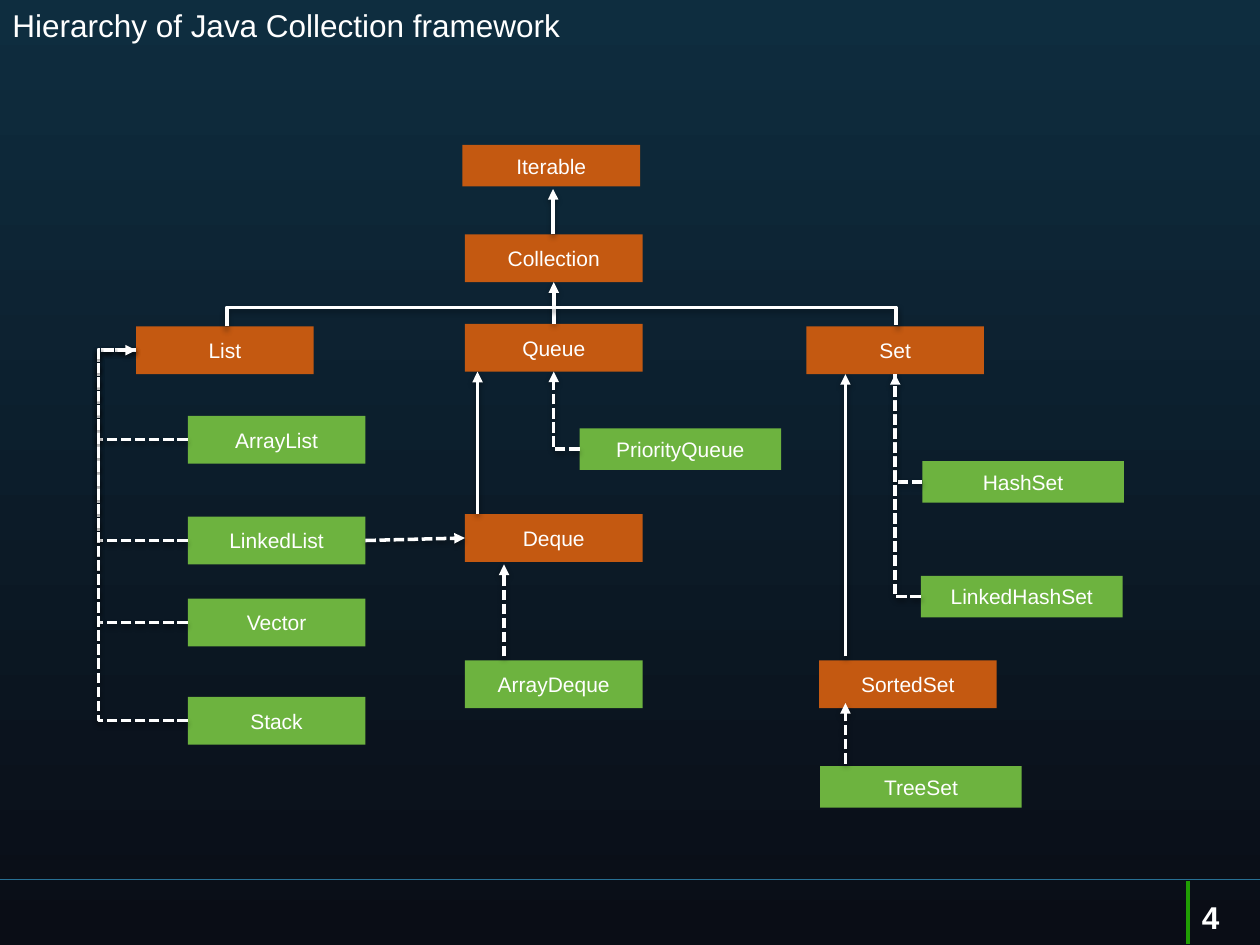
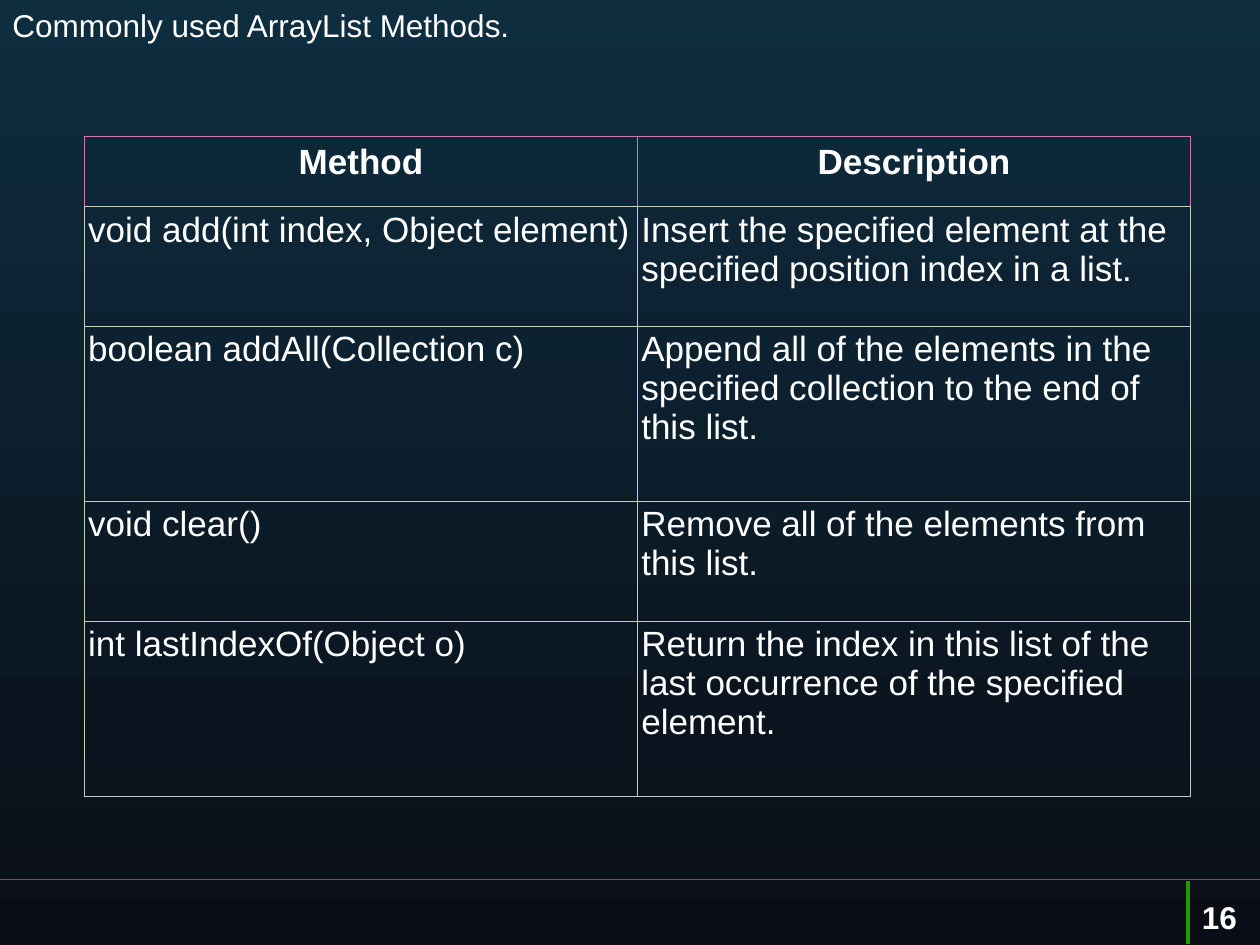
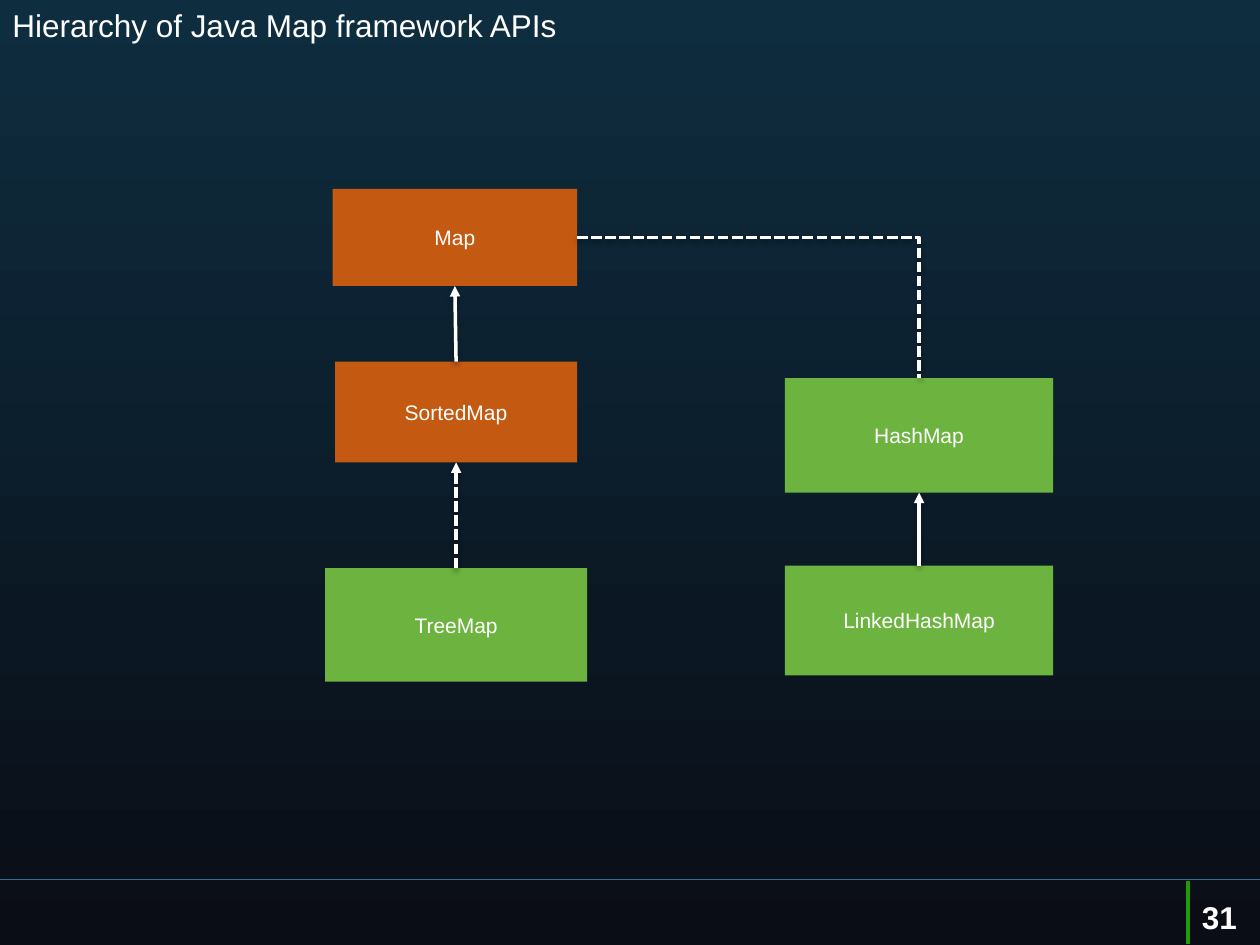
from lxml import etree
from pptx import Presentation
from pptx.dml.color import RGBColor
from pptx.enum import dml, shapes, text
from pptx.oxml import ns
from pptx.util import Inches, Pt

FONT = "Arial"
WHITE, ORANGE, GREEN = "FFFFFF", "C45911", "6DB33F"
SKY, NIGHT = "0E2D3F", "0A0D16"
RULE, MARK = "287094", "209D03"
PINK, GREY = "D077AD", "C7CCBE"
TOP, LEFT, BOTTOM, RIGHT = range(4)  # connection sites of a rectangle
CENTER = text.PP_ALIGN.CENTER


def color(code):
    return RGBColor.from_string(code)


def node(parent, tag, **attrs):
    return etree.SubElement(parent, ns.qn(tag), attrs)


def write(frame, words, size=12, bold=False, align=None, anchor=None):
    """Put formatted text into a text frame."""
    frame.word_wrap = True
    if anchor is not None:
        frame.vertical_anchor = anchor
    para = frame.paragraphs[0]
    para.alignment = align
    run = para.add_run()
    run.text = words
    font = run.font
    font.name, font.size, font.bold = FONT, Pt(size), bold
    font.color.rgb = color(WHITE)


def label(slide, words, x, y, w, h, **style):
    area = slide.shapes.add_textbox(Inches(x), Inches(y), Inches(w), Inches(h))
    write(area.text_frame, words, **style)


def box(slide, words, fill, x, y, w=1.41, h=0.38):
    rect = slide.shapes.add_shape(shapes.MSO_SHAPE.RECTANGLE, Inches(x),
                                  Inches(y), Inches(w), Inches(h))
    rect.shadow.inherit = False
    rect.fill.solid()
    rect.fill.fore_color.rgb = color(fill)
    rect.line.fill.background()
    write(rect.text_frame, words, align=CENTER, anchor=text.MSO_ANCHOR.MIDDLE)
    return rect


def shade(shape):
    """Replace the theme shadow with a soft one below the line."""
    effects = node(shape._element.spPr, "a:effectLst")
    cast = node(effects, "a:outerShdw", blurRad=str(Pt(3.1)),
                dist=str(Pt(1.6)), dir="5400000", rotWithShape="0")
    node(node(cast, "a:srgbClr", val="000000"), "a:alpha", val="38000")


def stroke(shape, code=WHITE, width=2, dash=False, arrow=False):
    line = shape.line
    line.color.rgb = color(code)
    line.width = Pt(width)
    if dash:
        line.dash_style = dml.MSO_LINE.SQUARE_DOT
    if arrow:
        node(line._get_or_add_ln(), "a:tailEnd", type="triangle")


def rule(slide, start, end, code, width):
    """Draw a plain line of the page frame."""
    line = slide.shapes.add_connector(
        shapes.MSO_CONNECTOR.STRAIGHT, *map(Inches, start + end))
    stroke(line, code, width)
    node(line._element.spPr, "a:effectLst")


def arrow(slide, start, end, dash=False):
    line = slide.shapes.add_connector(
        shapes.MSO_CONNECTOR.STRAIGHT, *map(Inches, start + end))
    stroke(line, dash=dash, arrow=True)
    shade(line)


def link(slide, child, out, parent, into, kind="line", bend=None, dash=True,
         head=True):
    """Join two boxes at their sites; bend is the turn as a share of width."""
    line = slide.shapes.add_connector(shapes.MSO_CONNECTOR.STRAIGHT, 0, 0, 0, 0)
    line.begin_connect(child, out)
    line.end_connect(parent, into)
    geom = line._element.spPr.find(ns.qn("a:prstGeom"))
    geom.set("prst", kind)
    if bend is not None:
        node(geom.find(ns.qn("a:avLst")), "a:gd", name="adj1",
             fmla=f"val {round(bend * 100000)}")
    stroke(line, dash=dash, arrow=head)
    shade(line)


def bar(slide, points):
    """Draw an open line through the points."""
    first, *rest = [tuple(map(Inches, spot)) for spot in points]
    build = slide.shapes.build_freeform(*first)
    build.add_line_segments(rest, close=False)
    path = build.convert_to_shape()
    path.fill.background()
    stroke(path)
    shade(path)


def edge(cell, sides):
    """Give a cell its borders from a dict of side and colour."""
    props = cell._tc.get_or_add_tcPr()
    for side, code in sides.items():
        line = node(props, f"a:ln{side}", w=str(Pt(0.75)))
        node(node(line, "a:solidFill"), "a:srgbClr", val=code)


def grid(slide, rows, heights, x, y, width):
    """Draw a table whose first row is the header."""
    count = len(rows[0])
    table = slide.shapes.add_table(len(rows), count, Inches(x), Inches(y),
                                   Inches(width), Inches(sum(heights))).table
    table.first_row = table.horz_banding = False
    for col in table.columns:
        col.width = Inches(width / count)
    for r, (row, height) in enumerate(zip(rows, heights)):
        table.rows[r].height = Inches(height)
        top = r == 0
        sides = dict.fromkeys("LRTB", PINK if top else GREY)
        sides["B"] = GREY
        for c, words in enumerate(row):
            cell = table.cell(r, c)
            pad = Inches(0.05 if top else 0.03)
            cell.margin_left = cell.margin_right = pad
            cell.margin_top = cell.margin_bottom = pad
            edge(cell, sides)
            cell.fill.background()
            write(cell.text_frame, words, size=20, bold=top,
                  align=CENTER if top else None)


def backdrop(deck):
    fill = deck.slide_master.background.fill
    fill.gradient()
    fill.gradient_angle = 270
    for stop, code in zip(fill.gradient_stops, (SKY, NIGHT)):
        stop.color.rgb = color(code)


def page(deck, title, number):
    """Add a slide with its title, footer lines and number."""
    slide = deck.slides.add_slide(deck.slide_layouts[6])
    rule(slide, (10, 6.98), (0, 6.98), RULE, 0.75)
    rule(slide, (9.43, 6.99), (9.43, 7.49), MARK, 2)
    label(slide, title, 0, 0, 7.5, 0.58, size=18)
    label(slide, str(number), 9.44, 7.08, 0.81, 0.25, size=18, bold=True)
    return slide


def collections(deck):
    slide = page(deck, "Hierarchy of Java Collection framework", 4)
    box(slide, "Iterable", ORANGE, 3.67, 1.15, h=0.33)
    root = box(slide, "Collection", ORANGE, 3.69, 1.86)
    queue = box(slide, "Queue", ORANGE, 3.69, 2.57)
    group = box(slide, "Set", ORANGE, 6.4, 2.59)
    series = box(slide, "List", ORANGE, 1.08, 2.59)
    deque = box(slide, "Deque", ORANGE, 3.69, 4.08)
    box(slide, "ArrayDeque", GREEN, 3.69, 5.24)
    box(slide, "SortedSet", ORANGE, 6.5, 5.24)
    box(slide, "TreeSet", GREEN, 6.51, 6.08, 1.6, 0.33)

    arrow(slide, (4.39, 1.86), (4.39, 1.5))
    link(slide, queue, TOP, root, BOTTOM, dash=False)
    bar(slide, [(1.8, 2.59), (1.8, 2.44), (7.11, 2.44), (7.11, 2.58)])

    lists = {"ArrayList": 3.3, "LinkedList": 4.1, "Vector": 4.75, "Stack": 5.53}
    for name, y in lists.items():
        item = box(slide, name, GREEN, 1.49, y)
        link(slide, item, LEFT, series, LEFT, "bentConnector3", bend=1.73,
             head=name == "Stack")
        if name == "LinkedList":
            link(slide, item, RIGHT, deque, LEFT)

    for name, x, y, parent in (("PriorityQueue", 4.6, 3.4, queue),
                               ("HashSet", 7.32, 3.66, group),
                               ("LinkedHashSet", 7.31, 4.57, group)):
        item = box(slide, name, GREEN, x, y, 1.6, 0.33)
        link(slide, item, LEFT, parent, BOTTOM, "bentConnector2",
             head=name != "HashSet")

    arrow(slide, (3.79, 4.08), (3.79, 2.95))
    arrow(slide, (4, 5.21), (4, 4.48), dash=True)
    arrow(slide, (6.71, 5.21), (6.71, 2.97))
    arrow(slide, (6.71, 6.06), (6.71, 5.58), dash=True)


def methods(deck):
    slide = page(deck, "Commonly used ArrayList Methods.", 16)
    rows = [
        ("Method", "Description"),
        ("void add(int index, Object element)",
         "Insert the specified element at the specified position index in a list."),
        ("boolean addAll(Collection c)",
         "Append all of the elements in the specified collection to the end of this list."),
        ("void clear()", "Remove all of the elements from this list."),
        ("int lastIndexOf(Object o)",
         "Return the index in this list of the last occurrence of the specified element."),
    ]
    grid(slide, rows, [0.56, 0.95, 1.39, 0.95, 1.39], 0.67, 1.08, 8.78)


def maps(deck):
    slide = page(deck, "Hierarchy of Java Map framework APIs", 31)
    root = box(slide, "Map", ORANGE, 2.64, 1.5, 1.94, 0.77)
    order = box(slide, "SortedMap", ORANGE, 2.66, 2.87, 1.92, 0.8)
    tree = box(slide, "TreeMap", GREEN, 2.58, 4.51, 2.08, 0.9)
    hashed = box(slide, "HashMap", GREEN, 6.23, 3, 2.13, 0.91)
    linked = box(slide, "LinkedHashMap", GREEN, 6.23, 4.49, 2.13, 0.87)
    link(slide, order, TOP, root, BOTTOM, dash=False)
    link(slide, tree, TOP, order, BOTTOM)
    link(slide, linked, TOP, hashed, BOTTOM, dash=False)
    link(slide, root, RIGHT, hashed, TOP, "bentConnector2", head=False)


def main():
    deck = Presentation()
    deck.slide_width, deck.slide_height = Inches(10), Inches(7.5)
    backdrop(deck)
    collections(deck)
    methods(deck)
    maps(deck)
    deck.save("out.pptx")


if __name__ == "__main__":
    main()
